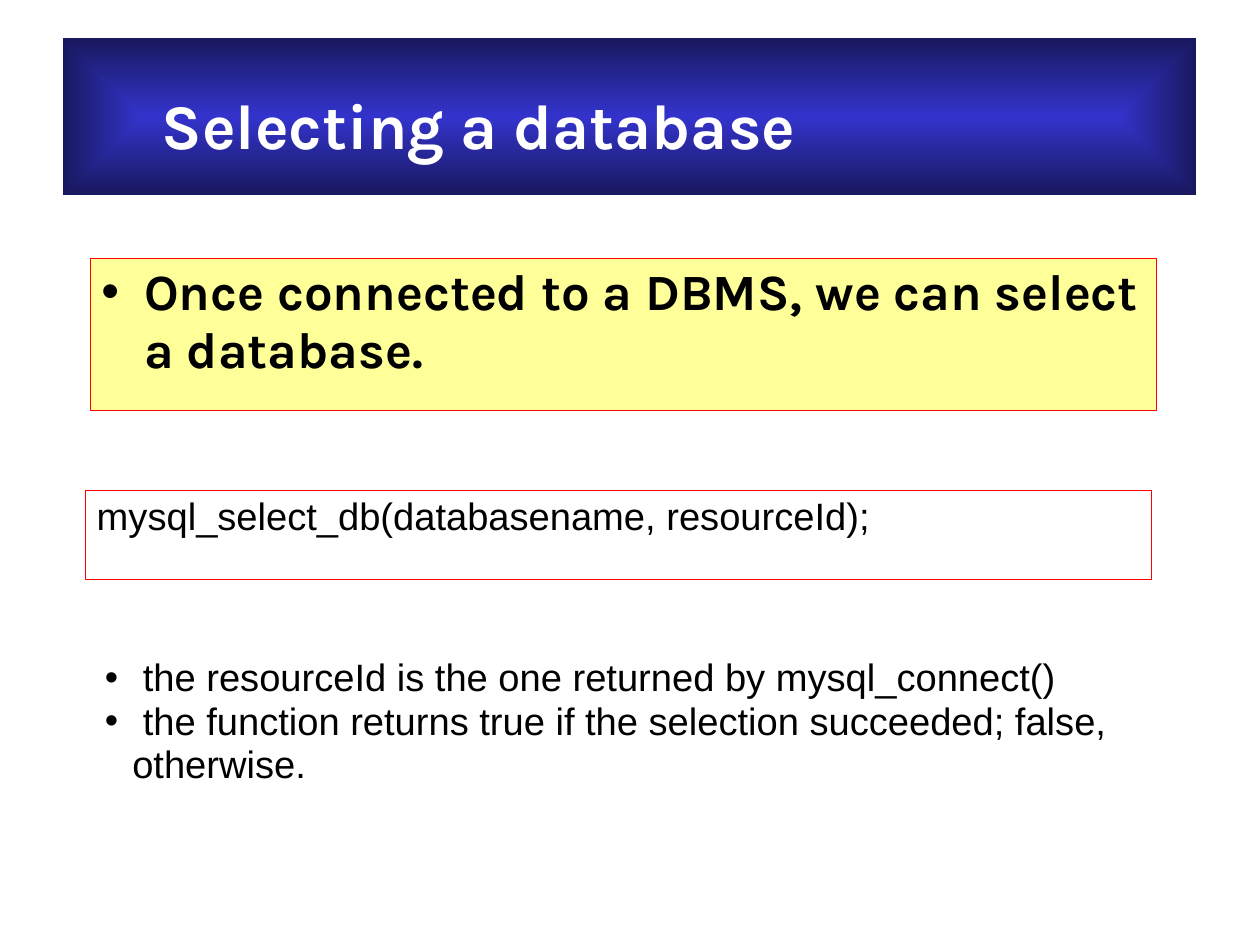
from lxml import etree
from pptx import Presentation
from pptx.dml.color import RGBColor
from pptx.enum import shapes, text
from pptx.oxml import parse_xml
from pptx.oxml.ns import nsdecls, qn
from pptx.util import Pt

WHITE = RGBColor(0xFF, 0xFF, 0xFF)
BLACK = RGBColor(0x00, 0x00, 0x00)
RED = RGBColor(0xFF, 0x00, 0x00)
YELLOW = RGBColor(0xFF, 0xFF, 0x99)
BLUE = RGBColor(0x33, 0x33, 0xCC)
NAVY = RGBColor(0x18, 0x18, 0x5E)


def add_box(slide, left, top, width, height):
    box = slide.shapes.add_shape(
        shapes.MSO_SHAPE.RECTANGLE, Pt(left), Pt(top), Pt(width), Pt(height))
    box.shadow.inherit = False
    return box


def add_framed_box(slide, left, top, width, height, fill_color):
    box = add_box(slide, left, top, width, height)
    box.fill.solid()
    box.fill.fore_color.rgb = fill_color
    box.line.color.rgb = RED
    box.line.width = Pt(0.75)
    return box


def fill_from_center(shape, center_color, edge_color):
    """Fill with a rectangular gradient that runs from the middle to the edges."""
    gradient = parse_xml(
        f'<a:gradFill {nsdecls("a")} rotWithShape="1"><a:gsLst>'
        f'<a:gs pos="0"><a:srgbClr val="{center_color}"/></a:gs>'
        f'<a:gs pos="100000"><a:srgbClr val="{edge_color}"/></a:gs></a:gsLst>'
        '<a:path path="rect">'
        '<a:fillToRect l="50000" t="50000" r="50000" b="50000"/></a:path>'
        '</a:gradFill>')
    shape._element.spPr.find(qn("a:prstGeom")).addnext(gradient)


def add_bullet(paragraph, indent):
    properties = paragraph._p.get_or_add_pPr()
    properties.set("marL", str(Pt(indent)))
    properties.set("indent", str(-Pt(indent)))
    color = etree.SubElement(properties, qn("a:buClr"))
    etree.SubElement(color, qn("a:srgbClr"), val=str(BLACK))
    etree.SubElement(properties, qn("a:buFont"), typeface="Arial")
    etree.SubElement(properties, qn("a:buChar"), char="•")


def write(shape, content, font_name, size, color=BLACK, bold=False,
          bullet_indent=None, margins=(7.2, 3.6, 7.2, 3.6)):
    """Set the text, one paragraph per line; margins are left, top, right, bottom."""
    frame = shape.text_frame
    frame.word_wrap = True
    frame.vertical_anchor = text.MSO_ANCHOR.TOP
    (frame.margin_left, frame.margin_top,
     frame.margin_right, frame.margin_bottom) = map(Pt, margins)
    frame.text = content
    for paragraph in frame.paragraphs:
        if bullet_indent:
            add_bullet(paragraph, bullet_indent)
        paragraph.alignment = text.PP_ALIGN.LEFT
        paragraph.line_spacing = 0.95
        for run in paragraph.runs:
            run.font.name = font_name
            run.font.size = Pt(size)
            run.font.bold = bold
            run.font.color.rgb = color


def main():
    presentation = Presentation()
    presentation.slide_width = Pt(793.75)
    presentation.slide_height = Pt(595.25)
    slide = presentation.slides.add_slide(presentation.slide_layouts[6])

    title = add_box(slide, 39.6, 23.8, 713.9, 99)
    fill_from_center(title, BLUE, NAVY)
    title.line.fill.background()
    write(title, "Selecting a database", "Karla", 40, WHITE, bold=True,
          margins=(62.4, 33.8, 0, 0))

    statement = add_framed_box(slide, 56.8, 162.7, 671.8, 95.7, YELLOW)
    write(statement, "Once connected to a DBMS, we can select a database.",
          "Karla", 32, bold=True, bullet_indent=27)

    code = add_framed_box(slide, 53.9, 308.8, 671.8, 56.2, WHITE)
    write(code, "mysql_select_db(databasename, resourceId);", "Arial", 24)

    notes = slide.shapes.add_textbox(Pt(59), Pt(410.2), Pt(681.1), Pt(116.6))
    write(notes,
          " the resourceId is the one returned by mysql_connect()\n"
          " the function returns true if the selection succeeded; false, otherwise.",
          "Arial", 24, bullet_indent=17.3)

    presentation.save("out.pptx")


if __name__ == "__main__":
    main()
